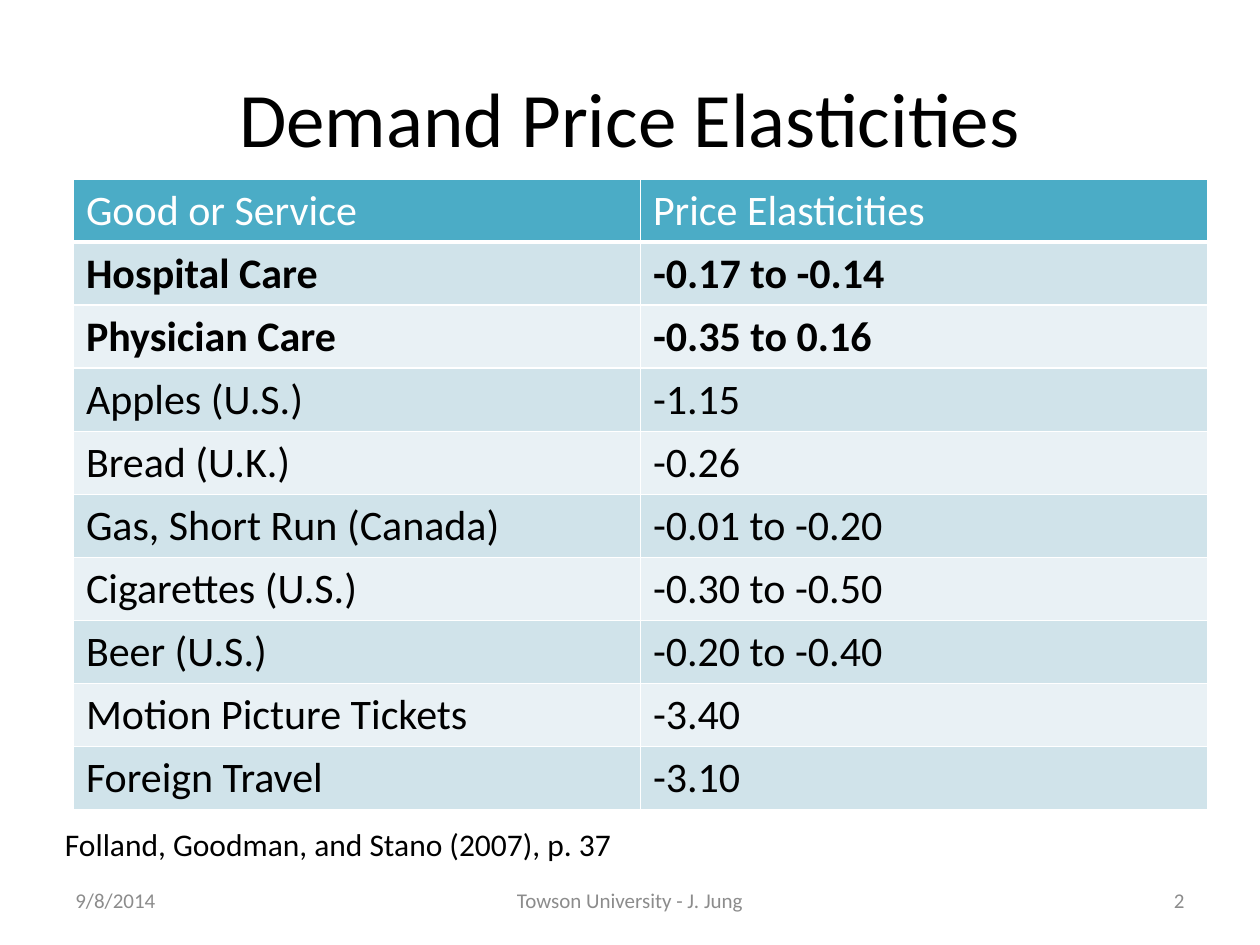
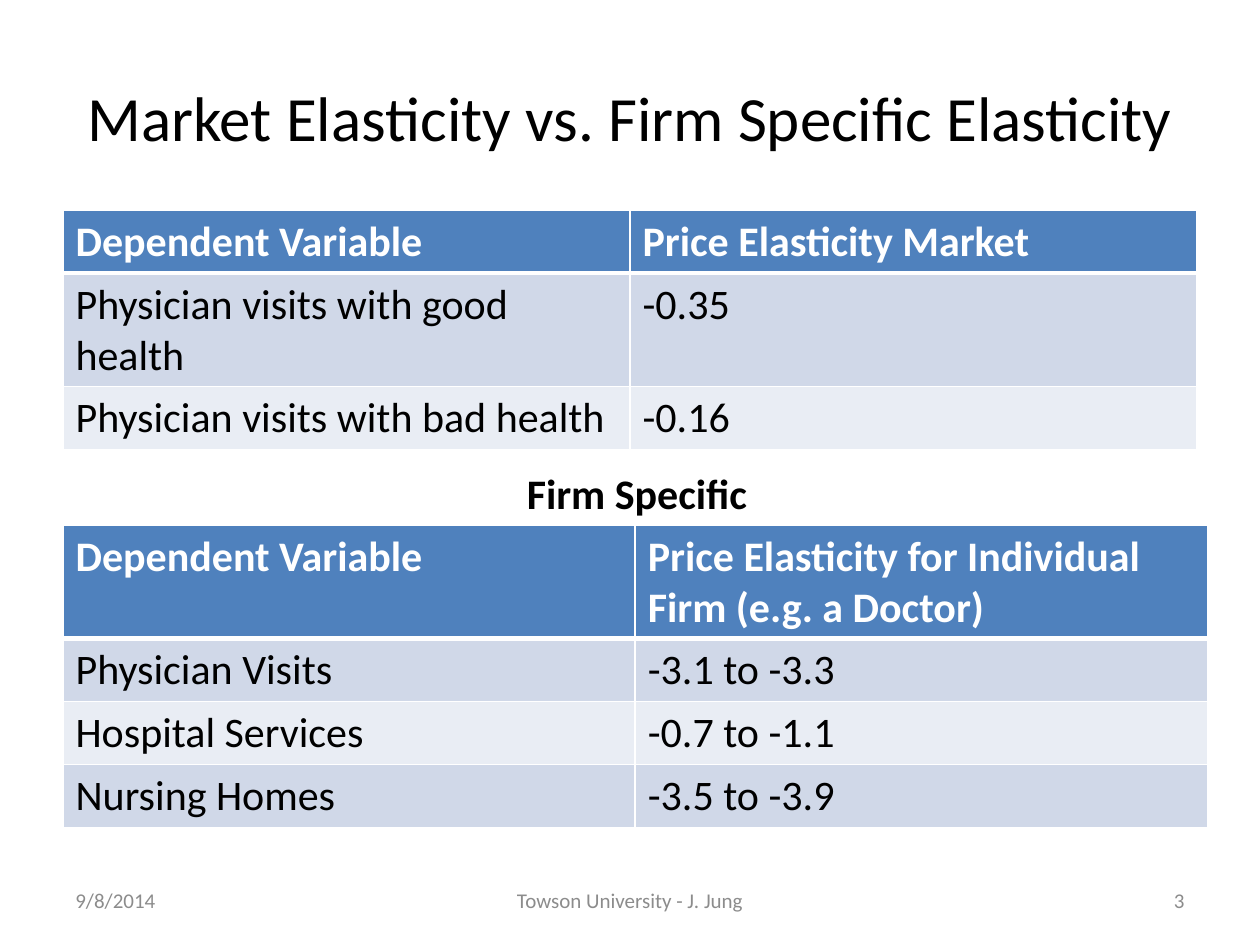
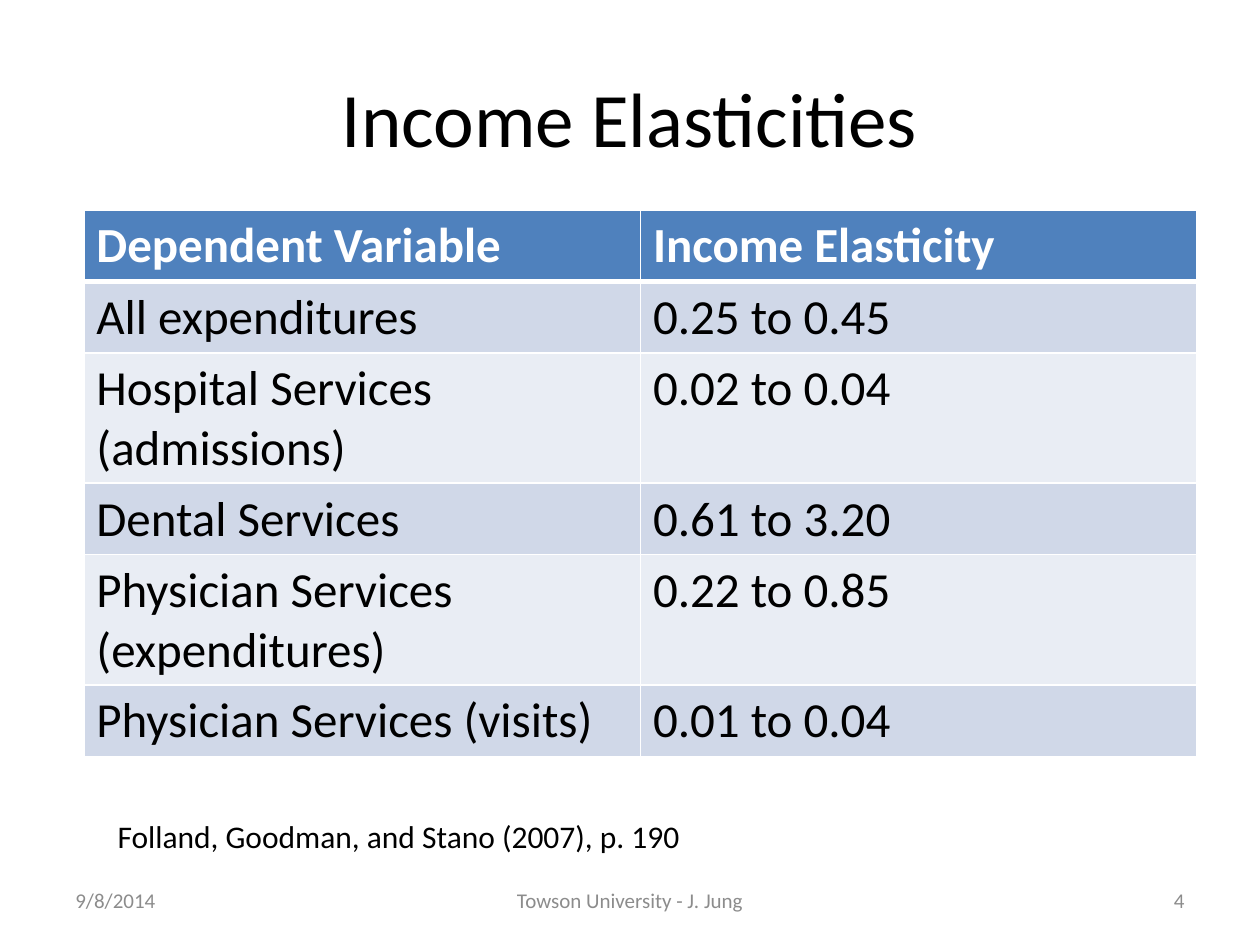
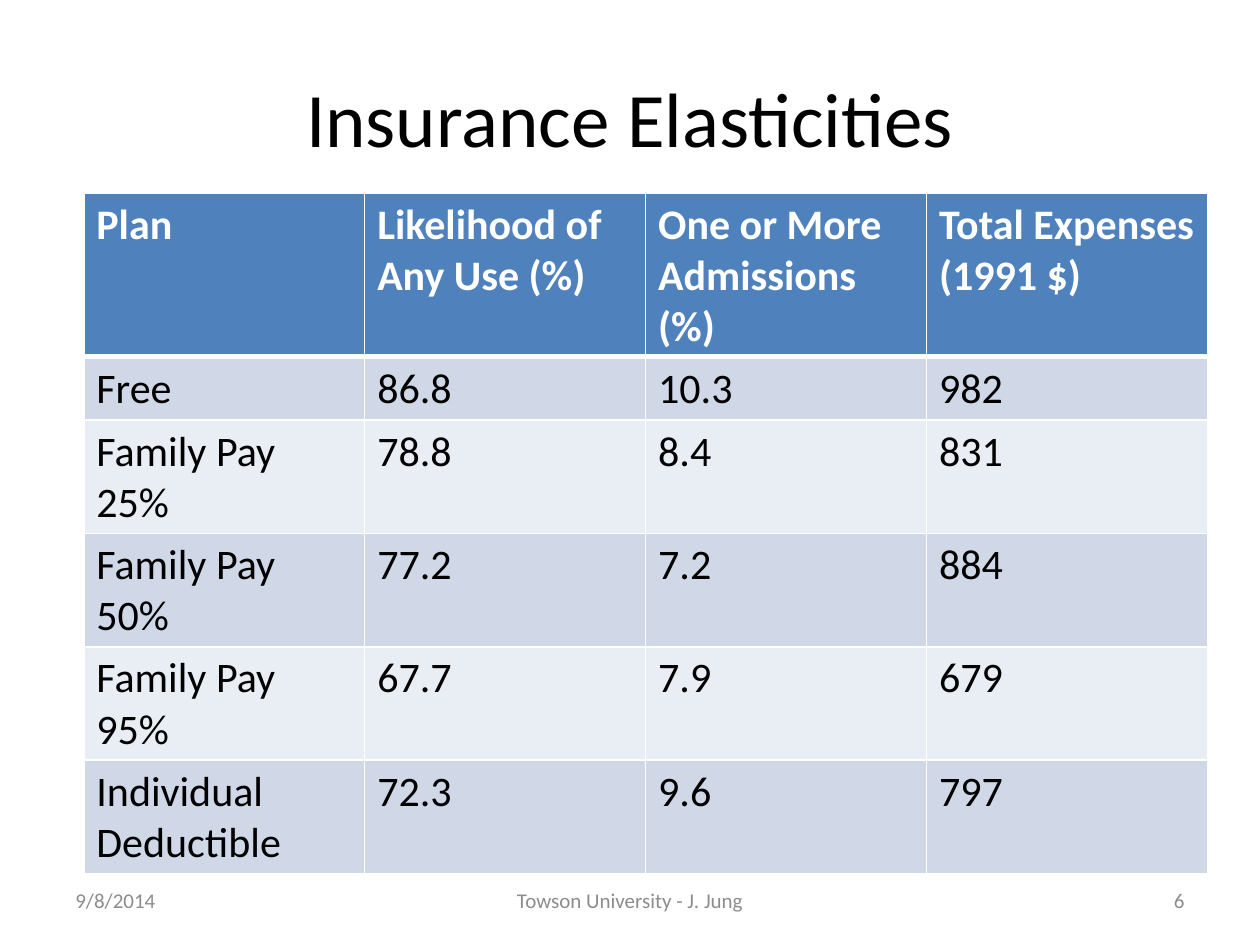
"""Build four slides of elasticity tables."""
import lxml.etree
import pptx
import pptx.dml.color
import pptx.enum.text
import pptx.oxml.ns
import pptx.util

Cm = pptx.util.Cm
ANCHOR = pptx.enum.text.MSO_ANCHOR
ALIGN = pptx.enum.text.PP_ALIGN

FONT = "Calibri"
COLOURS = {"text": "000000", "paper": "FFFFFF", "footer": "8C8C8C"}
BLUE = {"header": "4F81BD", "odd": "D0D8E8", "even": "E9EDF4"}
TEAL = {"header": "4BACC6", "odd": "D0E3EA", "even": "E9F1F5"}

DEMAND = [
    ("Good or Service", "Price Elasticities"),
    ("Hospital Care", "-0.17 to -0.14"),
    ("Physician Care", "-0.35 to 0.16"),
    ("Apples (U.S.)", "-1.15"),
    ("Bread (U.K.)", "-0.26"),
    ("Gas, Short Run (Canada)", "-0.01 to -0.20"),
    ("Cigarettes (U.S.)", "-0.30 to -0.50"),
    ("Beer (U.S.)", "-0.20 to -0.40"),
    ("Motion Picture Tickets", "-3.40"),
    ("Foreign Travel", "-3.10"),
]
MARKET = [
    ("Dependent Variable", "Price Elasticity Market"),
    ("Physician visits with good health", "-0.35"),
    ("Physician visits with bad health", "-0.16"),
]
FIRM = [
    ("Dependent Variable", "Price Elasticity for Individual Firm (e.g. a Doctor)"),
    ("Physician Visits", "-3.1 to -3.3"),
    ("Hospital Services", "-0.7 to -1.1"),
    ("Nursing Homes", "-3.5 to -3.9"),
]
INCOME = [
    ("Dependent Variable", "Income Elasticity"),
    ("All expenditures", "0.25 to 0.45"),
    ("Hospital Services (admissions)", "0.02 to 0.04"),
    ("Dental Services", "0.61 to 3.20"),
    ("Physician Services (expenditures)", "0.22 to 0.85"),
    ("Physician Services (visits)", "0.01 to 0.04"),
]
INSURANCE = [
    ("Plan", "Likelihood of Any Use (%)", "One or More Admissions (%)",
     "Total Expenses (1991 $)"),
    ("Free", "86.8", "10.3", "982"),
    ("Family Pay 25%", "78.8", "8.4", "831"),
    ("Family Pay 50%", "77.2", "7.2", "884"),
    ("Family Pay 95%", "67.7", "7.9", "679"),
    ("Individual Deductible", "72.3", "9.6", "797"),
]


def rgb(value):
    """Turn a hex string into a colour."""
    return pptx.dml.color.RGBColor.from_string(value)


def write_text(frame, text, *, size, colour="text", bold=False, align=ALIGN.LEFT):
    """Write one formatted paragraph into a text frame."""
    para = frame.paragraphs[0]
    para.alignment = align
    span = para.add_run()
    span.text = text
    span.font.name = FONT
    span.font.size = pptx.util.Pt(size)
    span.font.bold = bold
    span.font.color.rgb = rgb(COLOURS[colour])


def add_text(page, text, place, *, anchor=ANCHOR.TOP, **style):
    """Add a wrapping text box; place is left, top, width, height in cm."""
    box = page.shapes.add_textbox(*map(Cm, place))
    box.text_frame.word_wrap = True
    box.text_frame.vertical_anchor = anchor
    write_text(box.text_frame, text, **style)


def set_borders(cell, **widths):
    """Give a cell solid borders of the given widths in points."""
    properties = cell._tc.get_or_add_tcPr()
    for side, width in widths.items():
        line = lxml.etree.SubElement(properties, pptx.oxml.ns.qn(f"a:ln{side}"),
                                     w=str(pptx.util.Pt(width)))
        fill = lxml.etree.SubElement(line, pptx.oxml.ns.qn("a:solidFill"))
        lxml.etree.SubElement(fill, pptx.oxml.ns.qn("a:srgbClr"), val=COLOURS["paper"])


def add_grid(page, rows, place, *, palette=BLUE, size=24, row_height=1.04, bold_rows=(0,)):
    """Add a table with a coloured header, banded rows and equal columns."""
    left, top, width, height = map(Cm, place)
    frame = page.shapes.add_table(len(rows), len(rows[0]), left, top, width, height)
    for row_index, values in enumerate(rows):
        frame.table.rows[row_index].height = Cm(row_height)
        band = "header" if row_index == 0 else "odd" if row_index % 2 else "even"
        for column_index, value in enumerate(values):
            cell = frame.table.cell(row_index, column_index)
            set_borders(cell, L=1, R=1, T=3 if row_index == 1 else 1,
                        B=3 if row_index == 0 else 1)
            cell.fill.solid()
            cell.fill.fore_color.rgb = rgb(palette[band])
            write_text(cell.text_frame, value, size=size, bold=row_index in bold_rows,
                       colour="paper" if row_index == 0 else "text")
    frame.height = height


def add_page(deck, title, number, title_size=44):
    """Add a blank slide with its title and footer."""
    page = deck.slides.add_slide(deck.slide_layouts[6])
    add_text(page, title, (1.27, 0.76, 22.86, 3.18), anchor=ANCHOR.MIDDLE,
             size=title_size, align=ALIGN.CENTER)
    footer = [
        ("9/8/2014", 1.27, 5.93, ALIGN.LEFT),
        ("Towson University - J. Jung", 8.68, 8.04, ALIGN.CENTER),
        (str(number), 18.2, 5.93, ALIGN.RIGHT),
    ]
    for text, left, width, align in footer:
        add_text(page, text, (left, 17.65, width, 1.01), anchor=ANCHOR.MIDDLE,
                 size=12, colour="footer", align=align)
    return page


def main():
    """Build and save the deck."""
    deck = pptx.Presentation()
    deck.slide_width, deck.slide_height = Cm(25.4), Cm(19.05)

    page = add_page(deck, "Demand Price Elasticities", 2)
    add_grid(page, DEMAND, (1.48, 3.61, 22.86, 12.7), palette=TEAL,
             row_height=1.24, bold_rows=(1, 2))
    add_text(page, "Folland, Goodman, and Stano (2007), p. 37",
             (1.06, 16.51, 16.72, 1.06), size=18)

    page = add_page(deck, "Market Elasticity vs. Firm Specific Elasticity", 3, title_size=36)
    add_grid(page, MARKET, (1.27, 4.23, 22.86, 4.83))
    add_text(page, "Firm Specific", (10.37, 9.3, 11.43, 1.28), size=24, bold=True)
    add_grid(page, FIRM, (1.27, 10.58, 23.07, 6.1))

    page = add_page(deck, "Income Elasticities", 4)
    add_grid(page, INCOME, (1.69, 4.23, 22.44, 11), size=28)
    add_text(page, "Folland, Goodman, and Stano (2007), p. 190",
             (2.12, 16.34, 14.82, 1.03), size=18)

    page = add_page(deck, "Insurance Elasticities", 6)
    add_grid(page, INSURANCE, (1.69, 3.89, 22.65, 13.72))

    deck.save("out.pptx")


if __name__ == "__main__":
    main()
